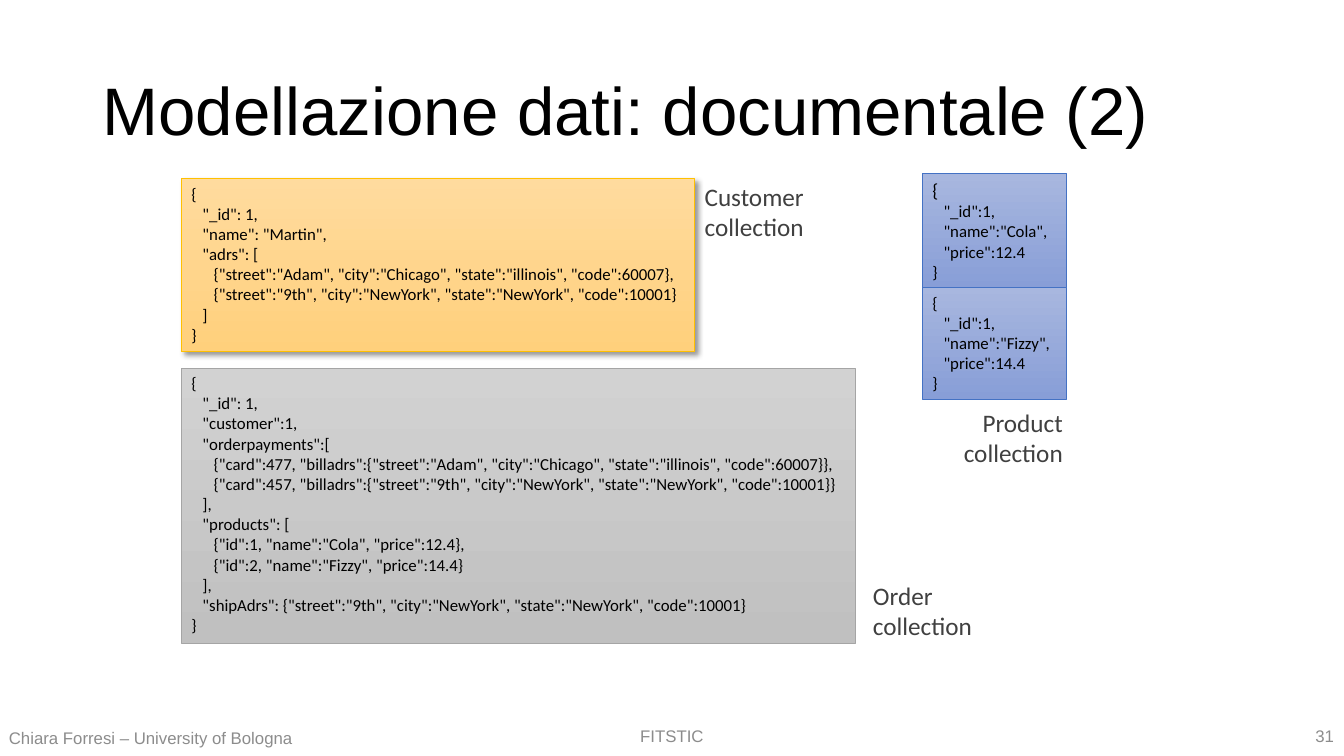
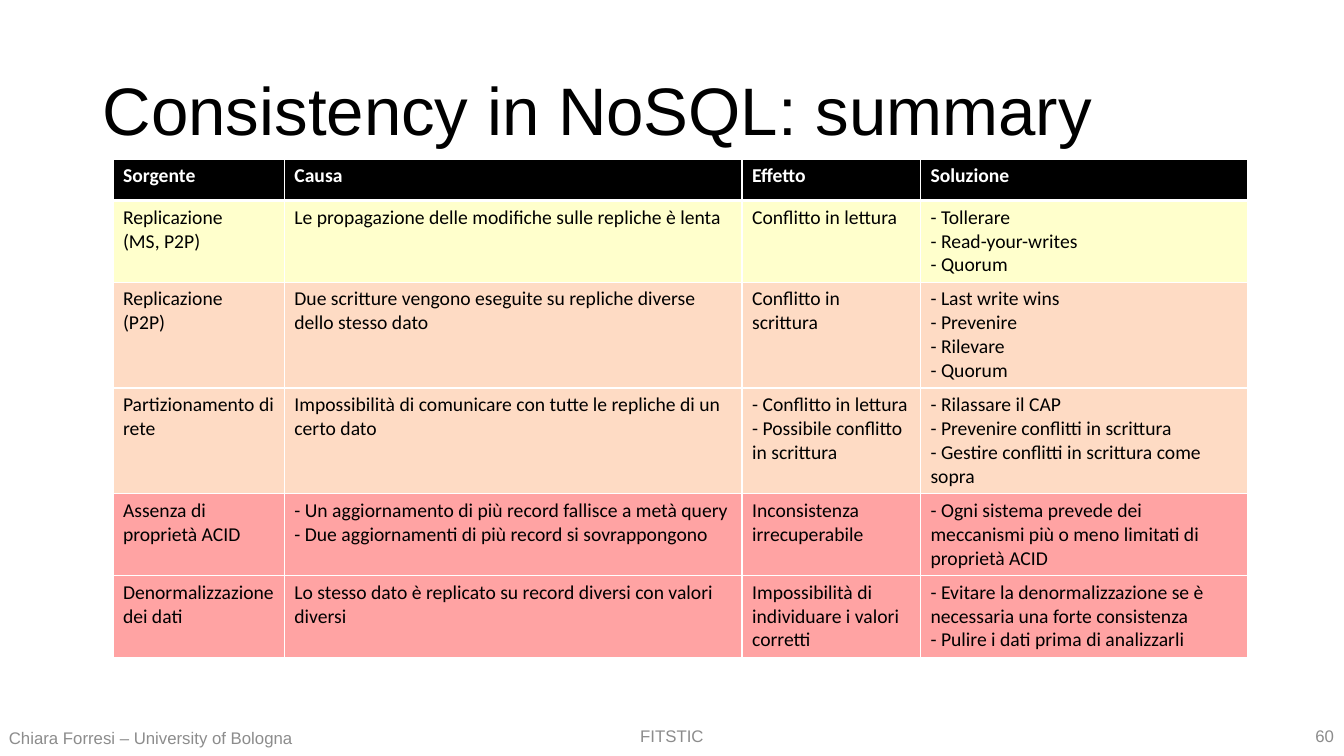
from lxml import etree
from pptx import Presentation
from pptx.dml.color import RGBColor
from pptx.enum import shapes, text
from pptx.oxml.ns import qn
from pptx.util import Inches, Pt

LEFT, MID, RIGHT = text.PP_ALIGN.LEFT, text.PP_ALIGN.CENTER, text.PP_ALIGN.RIGHT
TOP, CENTER = text.MSO_ANCHOR.TOP, text.MSO_ANCHOR.MIDDLE


def hue(code):
    return RGBColor.from_string(code)


def put(frame, lines, size, face, tone, side=LEFT, anchor=TOP, bold=False):
    frame.word_wrap = True
    frame.vertical_anchor = anchor
    for i, line in enumerate(lines):
        para = frame.add_paragraph() if i else frame.paragraphs[0]
        para.alignment = side
        run = para.add_run()
        run.text = line
        run.font.size = Pt(size)
        run.font.name = face
        run.font.bold = bold
        run.font.color.rgb = hue(tone)
    return frame.paragraphs


deck = Presentation()
deck.slide_width, deck.slide_height = Inches(13.33), Inches(7.5)

pages = []
for title, number in [("Modellazione dati: documentale (2)", "31"),
                      ("Consistency in NoSQL: summary", "60")]:
    page = deck.slides.add_slide(deck.slide_layouts[6])
    pages.append(page)
    for line, box, size, tone, side in [
        ("FITSTIC", (5.23, 7.1, 2.87, 0.4), 12, "8C8C8C", MID),
        ("Chiara Forresi – University of Bologna", (-0.01, 7.12, 3.17, 0.4), 12, "8C8C8C", LEFT),
        (number, (10.33, 7.1, 3, 0.4), 12, "8C8C8C", RIGHT),
        (title, (0.92, 0.4, 11.5, 1.45), 48, "000000", LEFT),
    ]:
        area = page.shapes.add_textbox(*map(Inches, box))
        paras = put(area.text_frame, [line], size, "Arial", tone, side, CENTER)
        if line == title:
            paras[0].line_spacing = 0.9

model, summary = pages

customer = """{
"_id": 1,
"name": "Martin",
"adrs": [
{"street":"Adam", "city":"Chicago", "state":"illinois", "code":60007},
{"street":"9th", "city":"NewYork", "state":"NewYork", "code":10001}
]
}"""
order = """{
"_id": 1,
"customer":1,
"orderpayments":[
{"card":477, "billadrs":{"street":"Adam", "city":"Chicago", "state":"illinois", "code":60007}},
{"card":457, "billadrs":{"street":"9th", "city":"NewYork", "state":"NewYork", "code":10001}}
],
"products": [
{"id":1, "name":"Cola", "price":12.4},
{"id":2, "name":"Fizzy", "price":14.4}
],
"shipAdrs": {"street":"9th", "city":"NewYork", "state":"NewYork", "code":10001}
}"""
cola = """{
"_id":1,
"name":"Cola",
"price":12.4
}"""
fizzy = """{
"_id":1,
"name":"Fizzy",
"price":14.4
}"""

gold = ("FFDB9E", "FFD07C", "FFC000")
grey = ("D2D2D2", "C0C0C0", "A5A5A5")
blue = ("A8B7DF", "889ED7", "4472C4")

for code, box, (light, dark, edge), first in [
    (customer, (1.8, 1.77, 5.09, 1.72), gold, 12),
    (order, (1.8, 3.65, 6.68, 2.73), grey, 12),
    (cola, (9.15, 1.72, 1.43, 1.14), blue, 13.5),
    (fizzy, (9.15, 2.85, 1.43, 1.11), blue, 12),
]:
    card = model.shapes.add_shape(shapes.MSO_SHAPE.RECTANGLE, *map(Inches, box))
    card.fill.gradient()
    card.fill.gradient_angle = 270
    for stop, tone in zip(card.fill.gradient_stops, (light, dark)):
        stop.color.rgb = hue(tone)
    card.line.color.rgb = hue(edge)
    card.line.width = Pt(0.5)
    card.shadow.inherit = False
    if code == customer:
        glow = etree.SubElement(card._element.spPr.find(qn("a:effectLst")), qn("a:outerShdw"),
                                blurRad=str(Pt(4)), dist=str(Pt(3)), dir="2700000",
                                algn="tl", rotWithShape="0")
        black = etree.SubElement(glow, qn("a:srgbClr"), val="000000")
        etree.SubElement(black, qn("a:alpha"), val="40000")
    paras = put(card.text_frame, code.split("\n"), 12, "Calibri", "000000")
    paras[0].runs[0].font.size = Pt(first)
    depth = 0
    for para in paras:
        if para.text[0] in "]}":
            depth -= 1
        para._p.get_or_add_pPr().set("marL", str(Inches(0.11 * depth)))
        if para.text[-1] in "[{":
            depth += 1

for name, left, top, side in [("Customer", 6.89, 1.75, LEFT),
                              ("Product", 9.44, 3.99, RIGHT),
                              ("Order", 8.56, 5.71, LEFT)]:
    label = model.shapes.add_textbox(*map(Inches, (left, top, 1.2, 0.71)))
    put(label.text_frame, [name, "collection"], 18, "Calibri", "404040", side)

rows = [
    ("000000", 0.41, ["Sorgente", "Causa", "Effetto", "Soluzione"]),
    ("FFFFCC", 0.81, ["Replicazione\n(MS, P2P)",
                      "Le propagazione delle modifiche sulle repliche è lenta",
                      "Conflitto in lettura",
                      "- Tollerare\n- Read-your-writes\n- Quorum"]),
    ("FEDBC4", 1.05, ["Replicazione\n(P2P)",
                      "Due scritture vengono eseguite su repliche diverse dello stesso dato",
                      "Conflitto in scrittura",
                      "- Last write wins\n- Prevenire\n- Rilevare\n- Quorum"]),
    ("FEDBC4", 1.05, ["Partizionamento di rete",
                      "Impossibilità di comunicare con tutte le repliche di un certo dato",
                      "- Conflitto in lettura\n- Possibile conflitto in scrittura",
                      "- Rilassare il CAP\n- Prevenire conflitti in scrittura\n"
                      "- Gestire conflitti in scrittura come sopra"]),
    ("FFA3A3", 0.81, ["Assenza di proprietà ACID",
                      "- Un aggiornamento di più record fallisce a metà query\n"
                      "- Due aggiornamenti di più record si sovrappongono",
                      "Inconsistenza irrecuperabile",
                      "- Ogni sistema prevede dei meccanismi più o meno limitati di proprietà ACID"]),
    ("FFA3A3", 0.81, ["Denormalizzazione dei dati",
                      "Lo stesso dato è replicato su record diversi con valori diversi",
                      "Impossibilità di individuare i valori corretti",
                      "- Evitare la denormalizzazione se è necessaria una forte consistenza\n"
                      "- Pulire i dati prima di analizzarli"]),
]
widths = [1.7, 4.54, 1.77, 3.24]
high = sum(row[1] for row in rows)
grid = summary.shapes.add_table(len(rows), len(widths), Inches(1.12), Inches(1.58),
                                Inches(sum(widths)), Inches(high)).table
for col, width in zip(grid.columns, widths):
    col.width = Inches(width)
for r, (tone, height, cells) in enumerate(rows):
    grid.rows[r].height = Inches(height)
    for c, words in enumerate(cells):
        cell = grid.cell(r, c)
        put(cell.text_frame, words.split("\n"), 14, "Calibri",
            "000000" if r else "FFFFFF", bold=r == 0)
        for tag in ("lnL", "lnR", "lnT", "lnB"):
            thick = (r, tag) in [(0, "lnB"), (1, "lnT")]
            edge = etree.SubElement(cell._tc.get_or_add_tcPr(), qn("a:" + tag),
                                    w=str(Pt(3 if thick else 1)))
            paint = etree.SubElement(edge, qn("a:solidFill"))
            etree.SubElement(paint, qn("a:srgbClr"), val="FFFFFF")
        cell.fill.solid()
        cell.fill.fore_color.rgb = hue(tone)

deck.save("out.pptx")
